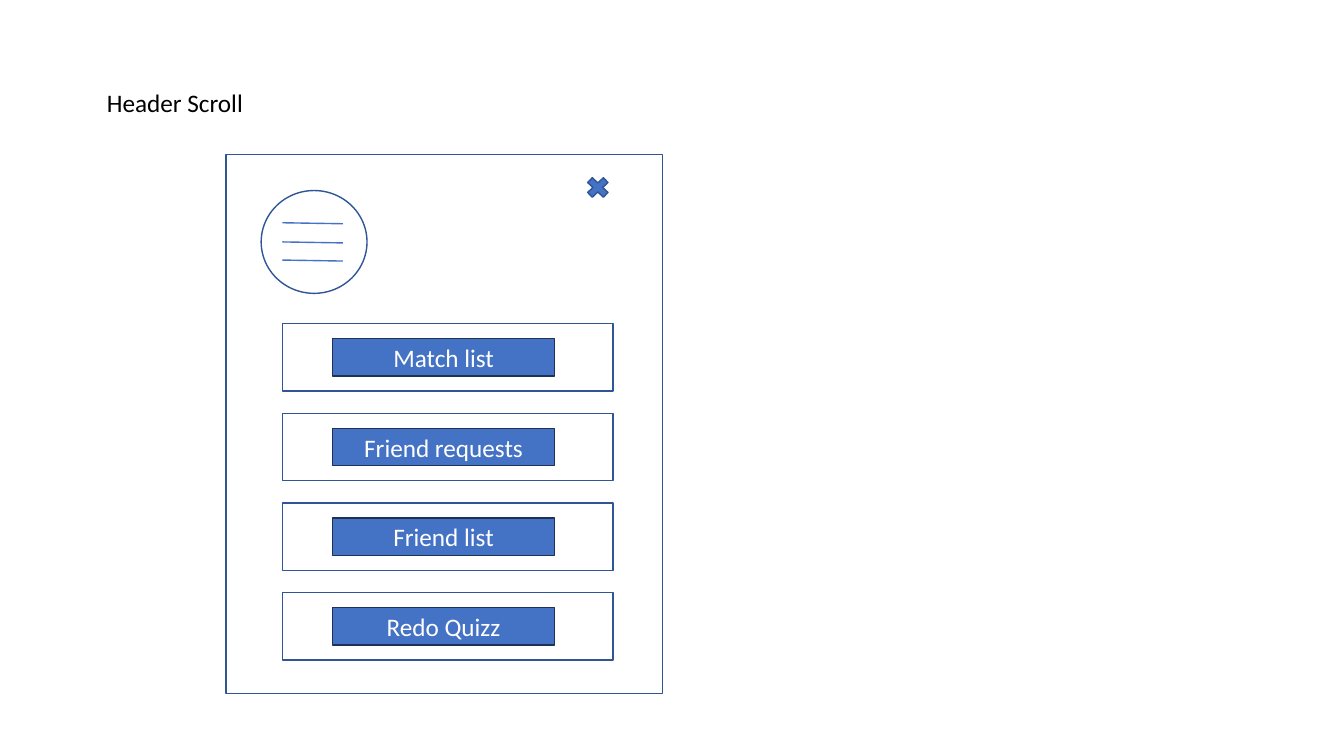
from dataclasses import dataclass

from lxml.etree import SubElement
from pptx import Presentation
from pptx.dml.color import RGBColor
from pptx.enum.shapes import MSO_CONNECTOR, MSO_SHAPE
from pptx.enum.text import MSO_ANCHOR, PP_ALIGN
from pptx.oxml.ns import qn
from pptx.util import Inches, Pt


@dataclass(frozen=True)
class Theme:
    font: str = "Calibri"
    size: int = 18
    line: int = 1
    black: str = "000000"
    white: str = "FFFFFF"
    blue: str = "4472C4"
    edge: str = "2F5597"
    dark: str = "1E3256"


THEME = Theme()
ITEMS = ["Match list", "Friend requests", "Friend list", "Redo Quizz"]
TOP, STEP = 3.21, 0.89


def color(code):
    return RGBColor.from_string(code)


def write(shape, text, ink, align, anchor):
    frame = shape.text_frame
    frame.text = text
    frame.word_wrap = True
    frame.vertical_anchor = anchor
    para = frame.paragraphs[0]
    para.alignment = align
    font = para.runs[0].font
    font.name, font.size = THEME.font, Pt(THEME.size)
    font.color.rgb = color(ink)


def add_title(slide, text, left, top, width, height):
    title = slide.shapes.title
    title.left, title.top = Inches(left), Inches(top)
    title.width, title.height = Inches(width), Inches(height)
    write(title, text, THEME.black, PP_ALIGN.LEFT, MSO_ANCHOR.TOP)


def add_box(slide, kind, left, top, width, height,
            fill=THEME.white, edge=THEME.edge):
    box = slide.shapes.add_shape(
        kind, Inches(left), Inches(top), Inches(width), Inches(height))
    box.shadow.inherit = False
    box.fill.solid()
    box.fill.fore_color.rgb = color(fill)
    box.line.color.rgb = color(edge)
    box.line.width = Pt(THEME.line)
    return box


def add_line(slide, left, top, right, bottom):
    line = slide.shapes.add_connector(
        MSO_CONNECTOR.STRAIGHT,
        Inches(left), Inches(top), Inches(right), Inches(bottom))
    line.line.color.rgb = color(THEME.blue)
    line.line.width = Pt(THEME.line)
    SubElement(line._element.spPr, qn("a:effectLst"))


def add_item(slide, text, top):
    add_box(slide, MSO_SHAPE.RECTANGLE, 2.8, top, 3.28, 0.67)
    button = add_box(slide, MSO_SHAPE.RECTANGLE, 3.3, top + 0.15, 2.2, 0.37,
                     THEME.blue, THEME.dark)
    write(button, text, THEME.white, PP_ALIGN.CENTER, MSO_ANCHOR.MIDDLE)


def main():
    deck = Presentation()
    deck.slide_width, deck.slide_height = Inches(13.33), Inches(7.5)
    slide = deck.slides.add_slide(deck.slide_layouts[5])
    add_title(slide, "Header Scroll", 0.96, 0.82, 4.44, 0.4)

    # Panel with menu icon and close mark
    add_box(slide, MSO_SHAPE.RECTANGLE, 2.24, 1.53, 4.33, 5.35)
    add_box(slide, MSO_SHAPE.OVAL, 2.59, 1.89, 1.05, 1.02)
    for top in (2.21, 2.4, 2.58):
        add_line(slide, 2.8, top, 3.4, top + 0.01)
    add_box(slide, MSO_SHAPE.MATH_MULTIPLY, 5.78, 1.72, 0.3, 0.28, THEME.blue)

    # Menu entries
    for row, text in enumerate(ITEMS):
        add_item(slide, text, TOP + row * STEP)

    deck.save("out.pptx")


if __name__ == "__main__":
    main()
